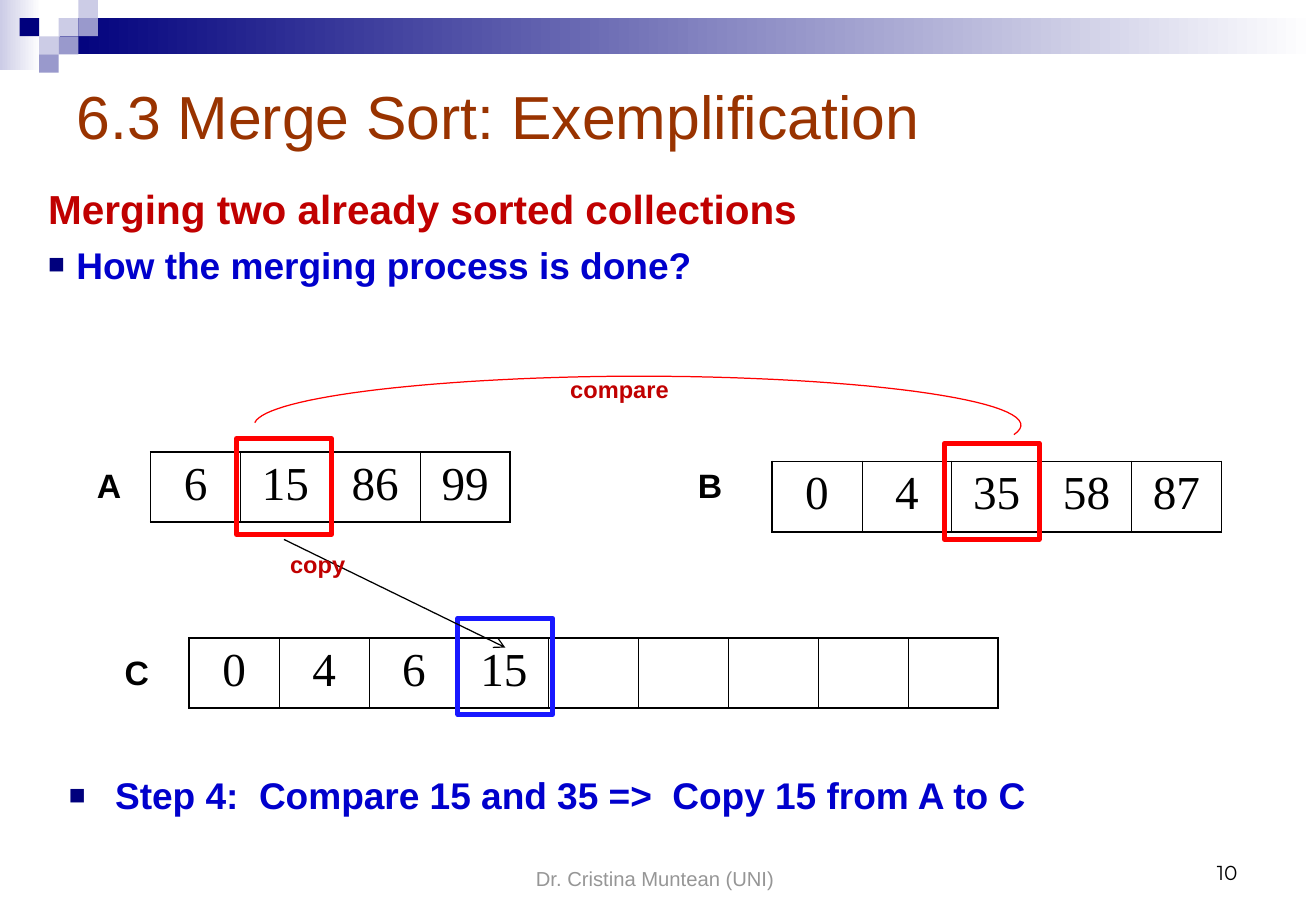
"""Build the merge sort slide that compares 15 with 35 and copies 15."""
from lxml import etree
from pptx import Presentation
from pptx.dml.color import RGBColor
from pptx.enum.shapes import MSO_CONNECTOR, MSO_SHAPE
from pptx.enum.text import MSO_ANCHOR, PP_ALIGN
from pptx.oxml.ns import qn
from pptx.util import Cm, Pt

RECT, STRAIGHT = MSO_SHAPE.RECTANGLE, MSO_CONNECTOR.STRAIGHT
TOP, MIDDLE, BOTTOM = MSO_ANCHOR.TOP, MSO_ANCHOR.MIDDLE, MSO_ANCHOR.BOTTOM
LEFT, CENTER, RIGHT = PP_ALIGN.LEFT, PP_ALIGN.CENTER, PP_ALIGN.RIGHT

COLORS = {
    "navy": "00007D", "lilac": "CCCCE6", "violet": "9999CC", "white": "FFFFFF",
    "black": "000000", "grey": "969696", "brown": "993300", "crimson": "C00000",
    "blue": "0000CC", "red": "FF0000", "bright": "1818FF",
}
FORMATS = {
    "title": ({"name": "Arial", "size": Pt(36)}, "brown"),
    "heading": ({"name": "Arial", "size": Pt(24), "bold": True}, "crimson"),
    "point": ({"name": "Arial", "size": Pt(22), "bold": True}, "blue"),
    "label": ({"name": "Arial", "size": Pt(20), "bold": True}, "black"),
    "action": ({"name": "Arial", "size": Pt(14), "bold": True}, "crimson"),
    "value": ({"name": "Times New Roman", "size": Pt(28), "bold": False}, "black"),
    "footer": ({"name": "Arial", "size": Pt(12)}, "grey"),
    "number": ({"name": "Montserrat", "size": Pt(12)}, "black"),
}
CELL_WIDTH, CELL_HEIGHT = 1.88, 1.47
TILE_WIDTH, TILE_HEIGHT = 0.41, 0.38
TILES = [(3, 1, "lilac"), (4, 0, "lilac"), (4, 1, "violet"), (2, 2, "lilac"),
         (1, 1, "navy"), (3, 2, "violet"), (2, 3, "violet")]
COLLECTIONS = [
    (3.96, 13.34, ["0", "4", "6", "15", "", "", "", "", ""]),
    (3.15, 9.45, ["6", "15", "86", "99"]),
    (16.15, 9.65, ["0", "4", "35", "58", "87"]),
]
FRAMES = [(4.95, 9.17, "red"), (19.76, 9.27, "red"), (9.58, 12.93, "bright")]
LABELS = [("A", 1.78, 9.6), ("B", 14.35, 9.6), ("C", 2.36, 13.51)]
ARC_START = ((5.33, 8.84), (5.56, 8.33), (8.76, 7.92), (12.78, 7.87))
ARC_END = ((13.94, 7.87), (18.72, 7.92), (22.12, 8.48), (21.21, 9.09))


def color(name):
    """Return the named colour."""
    return RGBColor.from_string(COLORS[name])


def add_node(parent, tag, **attributes):
    """Append a DrawingML element to its parent."""
    node = etree.SubElement(parent, qn(tag))
    for key, value in attributes.items():
        node.set(key, str(value))
    return node


def add_block(slide, left, top, width, height):
    """Add a plain rectangle without shadow or line."""
    block = slide.shapes.add_shape(RECT, Cm(left), Cm(top), Cm(width), Cm(height))
    block.shadow.inherit = False
    block.line.fill.background()
    return block


def add_fade(slide, left, top, width, height, start):
    """Add a band that fades to white on the right."""
    fill = add_block(slide, left, top, width, height).fill
    fill.gradient()
    fill.gradient_angle = 0
    for stop, name, position in zip(fill.gradient_stops, (start, "white"), (0, 1)):
        stop.color.rgb = color(name)
        stop.position = position


def add_tile(slide, column, row, name):
    """Add one square of the corner mosaic."""
    tile = add_block(slide, column * TILE_WIDTH, row * TILE_HEIGHT,
                     TILE_WIDTH, TILE_HEIGHT)
    tile.fill.solid()
    tile.fill.fore_color.rgb = color(name)


def add_frame(slide, left, top, name):
    """Add a thick outline around the active cell."""
    frame = add_block(slide, left, top, 1.98, 2.01)
    frame.fill.background()
    frame.line.color.rgb = color(name)
    frame.line.width = Pt(3)


def write(paragraph, text, style, align=LEFT, before=0):
    """Fill a paragraph with text in one of the formats."""
    paragraph.alignment = align
    paragraph.space_before = Pt(before)
    run = paragraph.add_run()
    run.text = text
    values, name = FORMATS[style]
    for key, value in values.items():
        setattr(run.font, key, value)
    run.font.color.rgb = color(name)


def add_bullet(paragraph, indent):
    """Give a paragraph a square bullet with a hanging indent."""
    properties = paragraph._p.get_or_add_pPr()
    properties.set("marL", str(Cm(indent)))
    properties.set("indent", str(-Cm(indent)))
    add_node(add_node(properties, "a:buClr"), "a:srgbClr", val=COLORS["navy"])
    add_node(properties, "a:buSzPct", val=75000)
    add_node(properties, "a:buFont", typeface="Arial")
    add_node(properties, "a:buChar", char="■")


def add_text(slide, left, top, width, height, anchor=TOP):
    """Add a wrapping text box and return its text frame."""
    box = slide.shapes.add_textbox(Cm(left), Cm(top), Cm(width), Cm(height))
    box.text_frame.word_wrap = True
    box.text_frame.vertical_anchor = anchor
    return box.text_frame


def add_line_of_text(slide, text, style, place, anchor=TOP, align=LEFT):
    """Add a text box that holds one paragraph."""
    write(add_text(slide, *place, anchor).paragraphs[0], text, style, align)


def set_borders(cell, first, last):
    """Draw thick outer and thin inner cell borders."""
    properties = cell._tc.get_or_add_tcPr()
    thick = {"a:lnL": first, "a:lnR": last, "a:lnT": True, "a:lnB": True}
    for tag, outer in thick.items():
        border = add_node(properties, tag, w=Pt(1.08 if outer else 0.45))
        add_node(add_node(border, "a:solidFill"), "a:srgbClr", val=COLORS["black"])


def add_collection(slide, left, top, values):
    """Add a one-row table with a value in each cell."""
    count = len(values)
    table = slide.shapes.add_table(1, count, Cm(left), Cm(top),
                                   Cm(CELL_WIDTH * count), Cm(CELL_HEIGHT)).table
    table.first_row = table.horz_banding = False
    for index, value in enumerate(values):
        table.columns[index].width = Cm(CELL_WIDTH)
        cell = table.cell(0, index)
        set_borders(cell, index == 0, index == count - 1)
        cell.fill.background()
        if value:
            write(cell.text_frame.paragraphs[0], value, "value", CENTER, 7)


def style_stroke(stroke, name):
    """Give a thin line its colour and width."""
    stroke.color.rgb = color(name)
    stroke.width = Pt(0.74)


def add_arrow(slide, start, end):
    """Add an arrow between two points."""
    arrow = slide.shapes.add_connector(STRAIGHT, *map(Cm, start + end))
    style_stroke(arrow.line, "black")
    add_node(arrow.line._get_or_add_ln(), "a:tailEnd", type="arrow")
    add_node(arrow._element.spPr, "a:effectLst")


def curve_points(controls, steps=30):
    """Return points along a cubic curve."""
    points = []
    for step in range(steps + 1):
        t = step / steps
        weights = ((1 - t) ** 3, 3 * t * (1 - t) ** 2, 3 * t * t * (1 - t), t ** 3)
        points.append(tuple(Cm(sum(w * p[axis] for w, p in zip(weights, controls)))
                            for axis in (0, 1)))
    return points


def add_arc(slide):
    """Add the open arc that joins the compared cells."""
    points = curve_points(ARC_START) + curve_points(ARC_END)
    builder = slide.shapes.build_freeform(*points[0])
    builder.add_line_segments(points[1:], close=False)
    arc = builder.convert_to_shape()
    arc.shadow.inherit = False
    arc.fill.background()
    style_stroke(arc.line, "red")


def main():
    """Build the slide and save it."""
    deck = Presentation()
    deck.slide_width, deck.slide_height = Cm(27.53), Cm(19.05)
    slide = deck.slides.add_slide(deck.slide_layouts[6])
    add_fade(slide, 0, 0, 0.86, 1.47, "lilac")
    add_fade(slide, 1.25, 0.38, 26.28, 0.76, "navy")
    for tile in TILES:
        add_tile(slide, *tile)
    add_line_of_text(slide, "Dr. Cristina Muntean (UNI)", "footer",
                     (9.35, 17.48, 8.71, 1.27), BOTTOM, CENTER)
    add_line_of_text(slide, "10", "number", (19.71, 17.35, 6.43, 1.27), BOTTOM, RIGHT)
    for collection in COLLECTIONS:
        add_collection(slide, *collection)
    for label, left, top in LABELS:
        add_line_of_text(slide, label, "label", (left, top, 1.17, 1.12))
    step = add_text(slide, 1.19, 16.03, 26.19, 1.5).paragraphs[0]
    write(step, "Step 4:  Compare 15 and 35 =>  Copy 15 from A to C", "point", before=5.5)
    add_bullet(step, 0.97)
    add_line_of_text(slide, "6.3 Merge Sort: Exemplification", "title",
                     (1.35, 1.52, 24.77, 1.8), MIDDLE)
    intro = add_text(slide, 0.76, 3.73, 26.62, 5.21)
    write(intro.paragraphs[0], "Merging two already sorted collections", "heading", before=6)
    question = intro.add_paragraph()
    write(question, "How the merging process is done?", "point", before=5.5)
    add_bullet(question, 0.59)
    for frame in FRAMES:
        add_frame(slide, *frame)
    add_arrow(slide, (5.94, 11.28), (10.57, 13.54))
    add_arc(slide)
    add_line_of_text(slide, "compare", "action", (11.68, 7.72, 3.89, 0.86))
    add_line_of_text(slide, "copy", "action", (5.82, 11.38, 1.93, 0.86))
    deck.save("out.pptx")


main()
